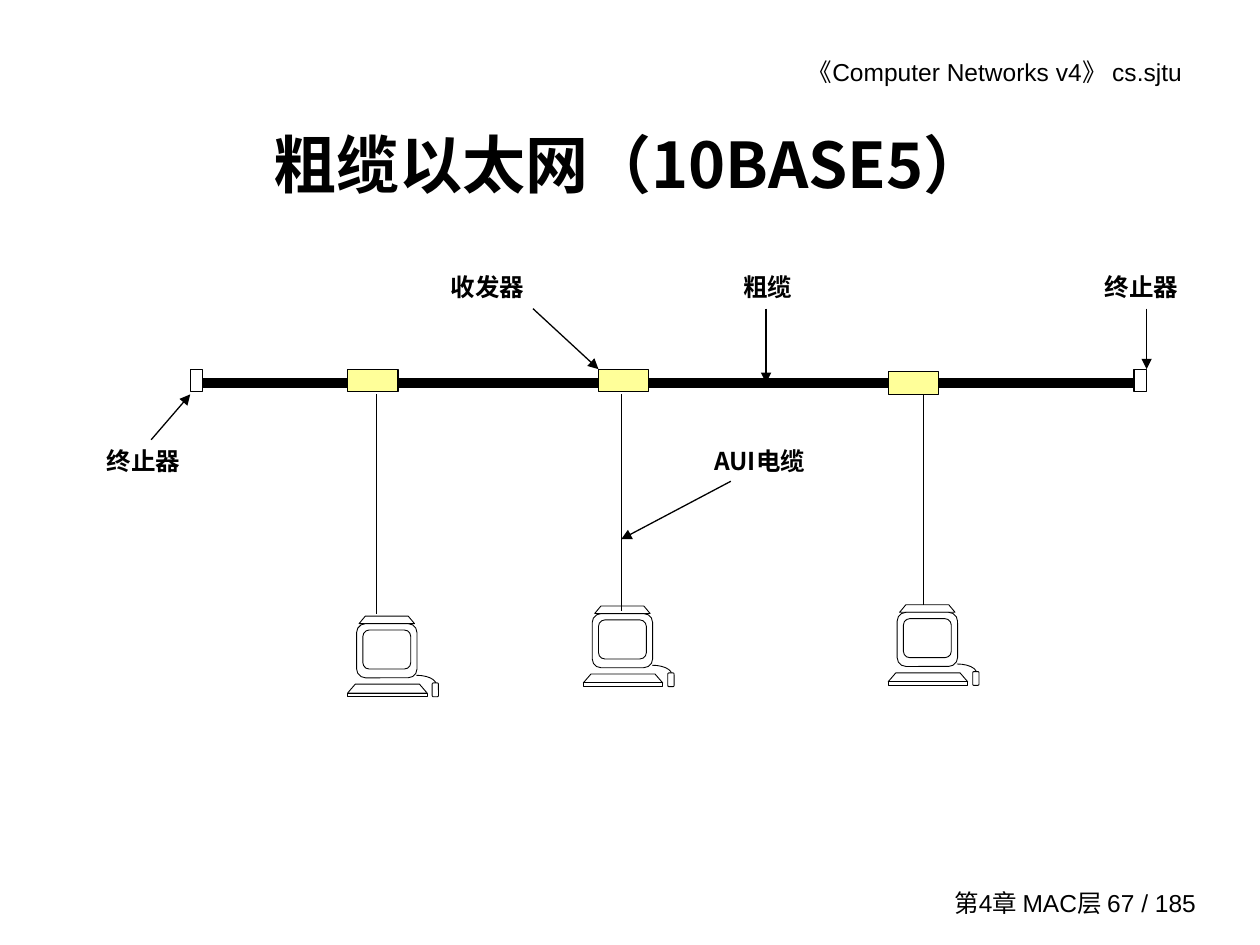
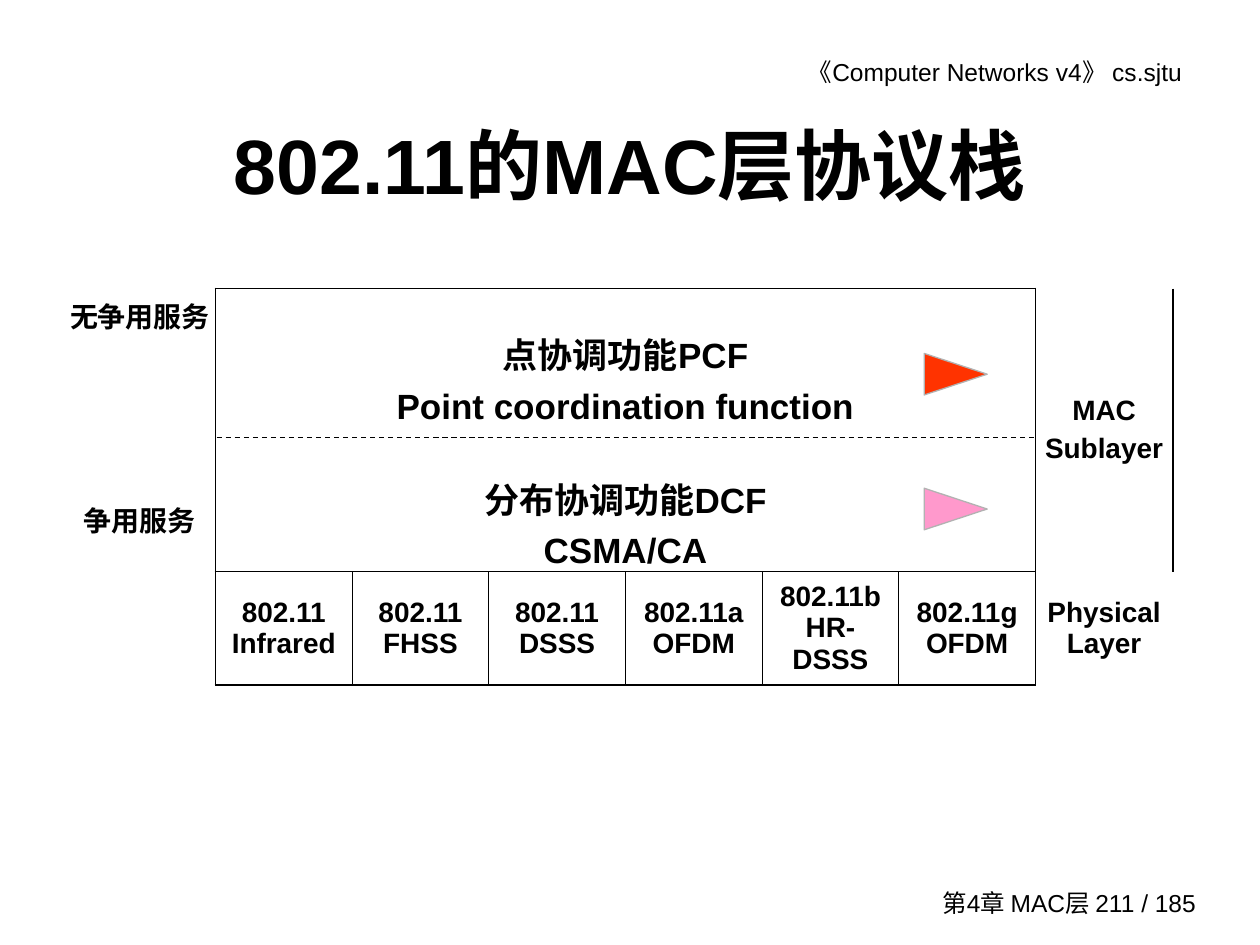
from itertools import product

from lxml.etree import SubElement
from pptx import Presentation
from pptx.dml.color import RGBColor
from pptx.enum.dml import MSO_LINE
from pptx.enum.shapes import MSO_CONNECTOR, MSO_SHAPE
from pptx.enum.text import MSO_ANCHOR, PP_ALIGN
from pptx.oxml.ns import qn
from pptx.util import Inches, Pt

BLACK = RGBColor(0x00, 0x00, 0x00)
WHITE = RGBColor(0xFF, 0xFF, 0xFF)
GREY = RGBColor(0xB2, 0xB2, 0xB2)
YELLOW = RGBColor(0xFF, 0xFF, 0x99)
RED = RGBColor(0xFF, 0x33, 0x00)
PINK = RGBColor(0xFF, 0x99, 0xCC)

LATIN = "Arial"
CHINESE = "Noto Sans CJK SC"
NO_TABLE_STYLE = "{2D5ABB26-0587-4C30-8999-92F81FD0307C}"
OUTER, INNER = 1.08, 0.45  # table border widths in points


# Shared helpers
def write(frame, lines, size, bold=False, align=PP_ALIGN.LEFT, name=LATIN, gap=0):
    frame.word_wrap = True
    for index, line in enumerate(lines):
        para = frame.add_paragraph() if index else frame.paragraphs[0]
        para.text = line
        para.alignment = align
        if index:
            para.space_before = Pt(gap)
        font = para.font
        font.name, font.size, font.bold = name, Pt(size), bold
        font.color.rgb = BLACK
        defaults = para._p.get_or_add_pPr().get_or_add_defRPr()
        SubElement(defaults, qn("a:ea"), typeface=CHINESE)


def add_text(page, left, top, width, height, text, size, **style):
    box = page.shapes.add_textbox(
        Inches(left), Inches(top), Inches(width), Inches(height))
    write(box.text_frame, [text], size, **style)
    return box.text_frame


def add_part(shapes, kind, left, top, width, height, fill=None,
             line=BLACK, weight=0.75, adjust=None):
    part = shapes.add_shape(
        kind, Inches(left), Inches(top), Inches(width), Inches(height))
    part.shadow.inherit = False
    if fill is None:
        part.fill.background()
    else:
        part.fill.solid()
        part.fill.fore_color.rgb = fill
    part.line.color.rgb = line
    part.line.width = Pt(weight)
    if adjust is not None:
        part.adjustments[0] = adjust
    return part


def add_line(page, start_x, start_y, end_x, end_y, weight=0.75, arrow=False):
    line = page.shapes.add_connector(
        MSO_CONNECTOR.STRAIGHT, Inches(start_x), Inches(start_y),
        Inches(end_x), Inches(end_y))
    line.line.color.rgb = BLACK
    line.line.width = Pt(weight)
    if arrow:
        SubElement(line.line._get_or_add_ln(), qn("a:tailEnd"), type="triangle")
    SubElement(line._element.spPr, qn("a:effectLst"))
    return line


def add_page(deck, title, number, size, name=LATIN):
    page = deck.slides.add_slide(deck.slide_layouts[6])
    # Header
    header = add_text(page, 5.36, 0.4, 4.23, 0.34,
                      "《Computer Networks v4》 cs.sjtu", 14, align=PP_ALIGN.RIGHT)
    header.margin_right = Inches(0.21)
    # Footer
    footer = add_text(page, 7.3, 7, 2.29, 0.33,
                      f"第4章 MAC层 {number} / 185", 14, align=PP_ALIGN.RIGHT)
    footer.vertical_anchor = MSO_ANCHOR.MIDDLE
    # Title
    heading = add_text(page, 0.75, 0.67, 8.5, 1.25, title, size,
                       bold=True, align=PP_ALIGN.CENTER, name=name)
    heading.vertical_anchor = MSO_ANCHOR.MIDDLE
    heading.margin_left = heading.margin_right = Inches(0.02)
    heading.margin_top = heading.margin_bottom = Inches(0.01)
    return page


# Thick Ethernet
def draw_computer(page, left, top):
    group = page.shapes.add_group_shape()
    parts = [
        (MSO_SHAPE.ARC, 0.39, 0.47, 0.31, 0.14, None),  # mouse cord
        (MSO_SHAPE.ROUNDED_RECTANGLE, 0.67, 0.53, 0.05, 0.11, 0.2),  # mouse
        (MSO_SHAPE.TRAPEZOID, 0, 0.54, 0.63, 0.07, 0.86),  # keyboard
        (MSO_SHAPE.RECTANGLE, 0, 0.61, 0.63, 0.03, None),  # keyboard edge
        (MSO_SHAPE.TRAPEZOID, 0.09, 0, 0.44, 0.06, 0.83),  # monitor top
        (MSO_SHAPE.ROUNDED_RECTANGLE, 0.07, 0.06, 0.48, 0.43, 0.165),  # monitor
        (MSO_SHAPE.ROUNDED_RECTANGLE, 0.12, 0.11, 0.38, 0.31, 0.165),  # screen
    ]
    for kind, x, y, width, height, adjust in parts:
        add_part(group.shapes, kind, left + x, top + y, width, height,
                 fill=WHITE, weight=0.5, adjust=adjust)


def draw_ethernet(page, left, top):
    # Bus and its terminators
    add_line(page, left + 0.86, top + 0.93, left + 8.25, top + 0.93, weight=6)
    for x in (0.76, 8.25):
        add_part(page.shapes, MSO_SHAPE.RECTANGLE, left + x, top + 0.82, 0.1, 0.18)

    # Stations: transceiver, computer, and the cable's x and lower end
    stations = [
        ((2.01, 0.82), (2.01, 2.78), (2.24, 2.76)),
        ((4.0, 0.82), (3.88, 2.7), (4.18, 2.74)),
        ((6.3, 0.84), (6.3, 2.69), (6.58, 2.69)),
    ]
    for transceiver, computer, (cable_x, cable_end) in stations:
        add_part(page.shapes, MSO_SHAPE.RECTANGLE, left + transceiver[0],
                 top + transceiver[1], 0.4, 0.18, fill=YELLOW)
        draw_computer(page, left + computer[0], top + computer[1])
        add_line(page, left + cable_x, top + 1.02, left + cable_x, top + cable_end)

    # Labels with their pointers
    labels = [
        ("终止器", 0, 1.38, 0.86, LATIN, (0.45, 1.38, 0.76, 1.02)),
        ("终止器", 7.92, 0, 0.86, LATIN, (8.35, 0.34, 8.35, 0.82)),
        ("粗缆", 5.05, 0, 1.33, LATIN, (5.33, 0.34, 5.33, 0.93)),
        ("收发器", 2.73, 0, 1.65, LATIN, (3.48, 0.34, 4.0, 0.82)),
        ("AUI电缆", 4.82, 1.38, 1.58, CHINESE, (5.05, 1.71, 4.18, 2.17)),
    ]
    for text, x, y, width, name, (start_x, start_y, end_x, end_y) in labels:
        add_text(page, left + x, top + y, width, 0.34, text, 14, bold=True, name=name)
        add_line(page, left + start_x, top + start_y, left + end_x, top + end_y,
                 arrow=True)


# Protocol stack
def set_borders(cell, widths):
    properties = cell._tc.get_or_add_tcPr()
    for side in "LRTB":
        if side in widths:
            border = SubElement(properties, qn(f"a:ln{side}"),
                                w=str(Pt(widths[side])))
            fill = SubElement(border, qn("a:solidFill"))
            SubElement(fill, qn("a:srgbClr"), val=str(BLACK))


def stack_borders(row, column):
    if column == 0:
        return {"R": OUTER}
    if column == 7:
        return {"L": OUTER}
    if row == 2:
        return {"L": OUTER if column == 1 else INNER,
                "R": OUTER if column == 6 else INNER,
                "T": INNER, "B": OUTER}
    sides = {"T": OUTER} if row == 0 else {"B": INNER}
    if column == 1:
        sides["L"] = OUTER
    if column in (1, 6):
        sides["R"] = OUTER
    return sides


def draw_stack(page, left, top):
    side, middle, layer = 1.2, 6.51, 1.09
    frame = page.shapes.add_table(
        3, 8, Inches(left), Inches(top), Inches(side + middle + layer), Inches(3.07))
    table = frame.table
    table.first_row = table.horz_banding = False
    table._tbl.tblPr.find(qn("a:tableStyleId")).text = NO_TABLE_STYLE
    for column, width in zip(table.columns, [side] + [middle / 6] * 6 + [layer]):
        column.width = Inches(width)
    for row, height in zip(table.rows, (1.41, 0.83, 0.83)):
        row.height = Inches(height)

    for row, column in product(range(3), range(8)):
        cell = table.cell(row, column)
        set_borders(cell, stack_borders(row, column))
        cell.fill.background()
        cell.vertical_anchor = MSO_ANCHOR.MIDDLE
        if column in (0, 7):
            cell.margin_left = cell.margin_right = Inches(0.04)
    for row in (0, 1):
        table.cell(row, 1).merge(table.cell(row, 6))
    table.cell(0, 7).merge(table.cell(1, 7))
    for place in ((0, 0), (1, 1)):
        table.cell(*place).vertical_anchor = MSO_ANCHOR.TOP

    texts = {
        (0, 0): ["无争用服务"],
        (0, 1): ["点协调功能PCF", "Point coordination function"],
        (0, 7): ["MAC", "Sublayer"],
        (1, 0): ["争用服务"],
        (1, 1): ["分布协调功能DCF", "CSMA/CA"],
        (2, 7): ["Physical Layer"],
    }
    media = ["802.11 Infrared", "802.11 FHSS", "802.11 DSSS",
             "802.11a OFDM", "802.11b HR-DSSS", "802.11g OFDM"]
    texts.update({(2, column): [name] for column, name in enumerate(media, 1)})
    for (row, column), lines in texts.items():
        size = 20 if row < 2 and column == 1 else 16
        write(table.cell(row, column).text_frame, lines, size, bold=True,
              align=PP_ALIGN.CENTER, gap=size / 4)

    # Divider between the two coordination functions
    divider = add_line(page, left + 1.21, top + 1.18, left + 7.71, top + 1.18)
    divider.line.dash_style = MSO_LINE.DASH

    # Triangles pointing right
    for y, color in ((1.5, PINK), (0.43, RED)):
        triangle = add_part(page.shapes, MSO_SHAPE.ISOSCELES_TRIANGLE, left + 6.91,
                            top + y, 0.33, 0.5, fill=color, line=GREY)
        triangle.rotation = 90


def main():
    deck = Presentation()
    deck.slide_width, deck.slide_height = Inches(10), Inches(7.5)
    draw_ethernet(add_page(deck, "粗缆以太网（10BASE5）", 67, 36, CHINESE), 0.75, 2.11)
    draw_stack(add_page(deck, "802.11的MAC层协议栈", 211, 44), 0.51, 2.29)
    deck.save("out.pptx")


if __name__ == "__main__":
    main()
